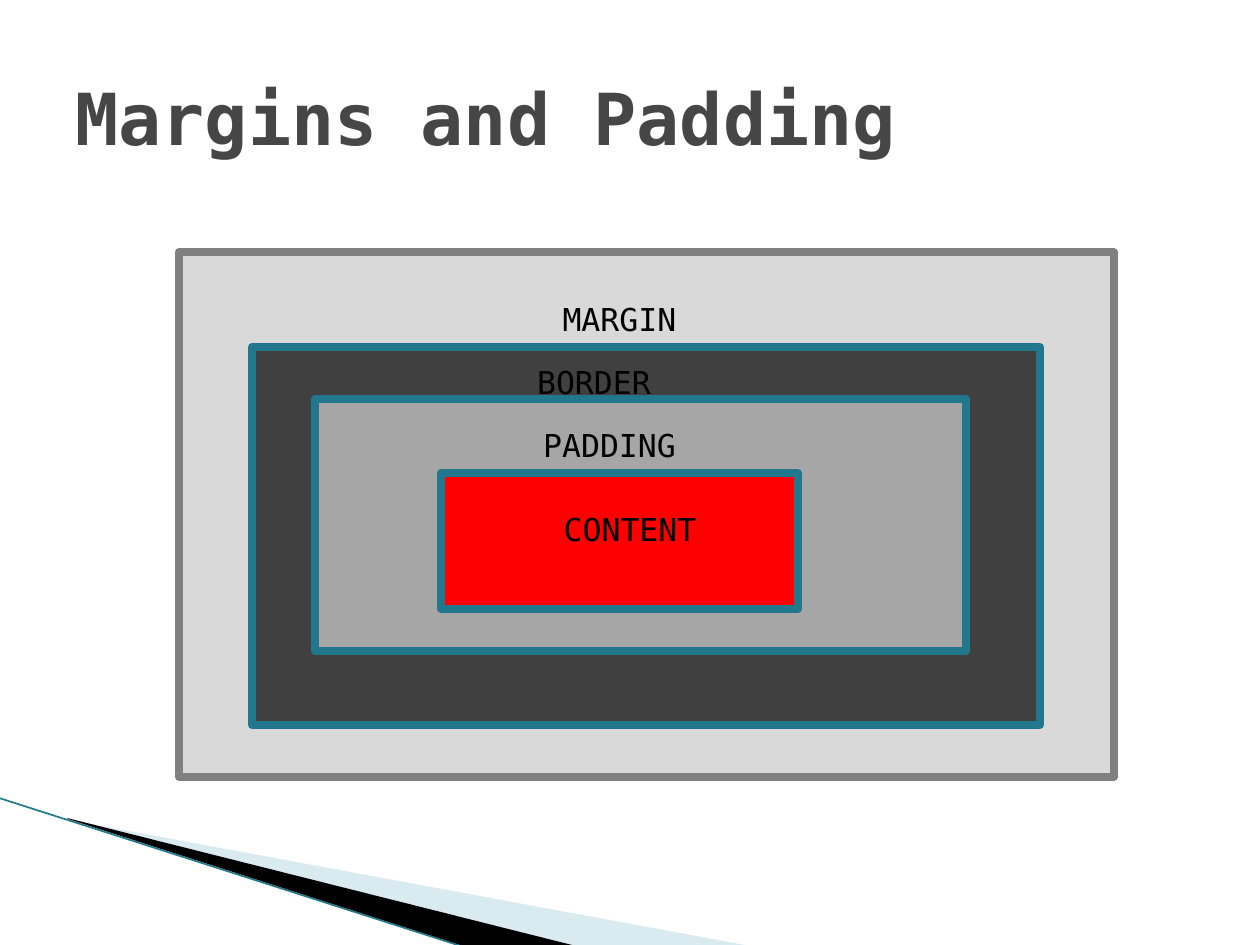
from pptx import Presentation
from pptx.dml.color import RGBColor
from pptx.enum.shapes import MSO_CONNECTOR as Connector, MSO_SHAPE as Shape
from pptx.enum.text import MSO_ANCHOR as Anchor, PP_ALIGN as Align
from pptx.oxml.ns import qn
from pptx.util import Pt
from lxml.etree import SubElement

PX = 914400 // 126
FONT = "DejaVu Sans Mono"
TEAL = "21788D"


def color(value):
    return RGBColor.from_string(value)


def add_text(place, text, size, ink, bold, align, anchor):
    box = page.shapes.add_textbox(*[v * PX for v in place])
    frame = box.text_frame
    frame.word_wrap = True
    frame.vertical_anchor = anchor
    para = frame.paragraphs[0]
    para.alignment = align
    span = para.add_run()
    span.text = text
    span.font.name = FONT
    span.font.size = Pt(size)
    span.font.bold = bold
    span.font.color.rgb = color(ink)


deck = Presentation()
deck.slide_width = 1260 * PX
deck.slide_height = 945 * PX
page = deck.slides.add_slide(deck.slide_layouts[6])

wedges = [
    ([(69, 820), (750, 946), (575, 946), (69, 819)], "A0CBDC", 40),
    ([(67, 818), (576, 946), (469, 948), (68, 819)], "000000", 100),
]
for points, fill, opacity in wedges:
    builder = page.shapes.build_freeform(*points[0], scale=PX)
    builder.add_line_segments(points[1:], close=True)
    wedge = builder.convert_to_shape()
    wedge.shadow.inherit = False
    wedge.fill.solid()
    wedge.fill.fore_color.rgb = color(fill)
    wedge.line.fill.background()
    if opacity < 100:
        tint = wedge.fill._xPr.find(qn("a:solidFill"))[0]
        SubElement(tint, qn("a:alpha"), val=str(opacity * 1000))

edge = page.shapes.add_connector(
    Connector.STRAIGHT, -1 * PX, 798 * PX, 467 * PX, 948 * PX)
edge.line.color.rgb = color(TEAL)
edge.line.width = Pt(0.95)
SubElement(edge._element.spPr, qn("a:effectLst"))

layers = [
    ((179, 252, 935, 525), "D9D9D9", "808080"),
    ((252, 347, 788, 378), "404040", TEAL),
    ((315, 399, 651, 252), "A6A6A6", TEAL),
    ((441, 473, 357, 136), "FF0000", TEAL),
]
for place, fill, outline in layers:
    layer = page.shapes.add_shape(Shape.RECTANGLE, *[v * PX for v in place])
    layer.shadow.inherit = False
    layer.fill.solid()
    layer.fill.fore_color.rgb = color(fill)
    layer.line.color.rgb = color(outline)
    layer.line.width = Pt(4.33)

labels = [
    ((462, 294, 315, 50), "MARGIN"),
    ((473, 357, 242, 50), "BORDER"),
    ((494, 420, 231, 50), "PADDING"),
    ((525, 504, 210, 50), "CONTENT"),
]
for place, text in labels:
    add_text(place, text, 18, "000000", False, Align.CENTER, Anchor.TOP)

add_text((63, 38, 1134, 158), "Margins and Padding", 41, "464646", True,
         Align.LEFT, Anchor.MIDDLE)

deck.save("out.pptx")
